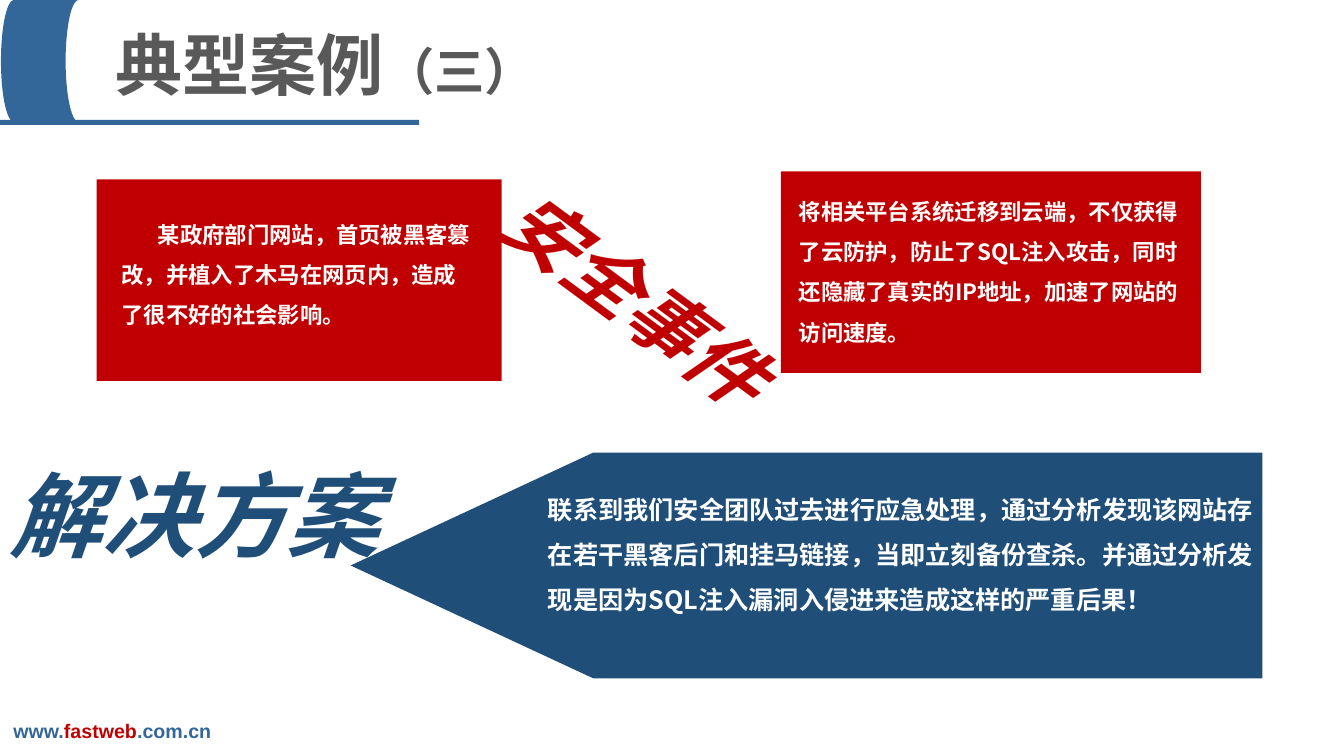
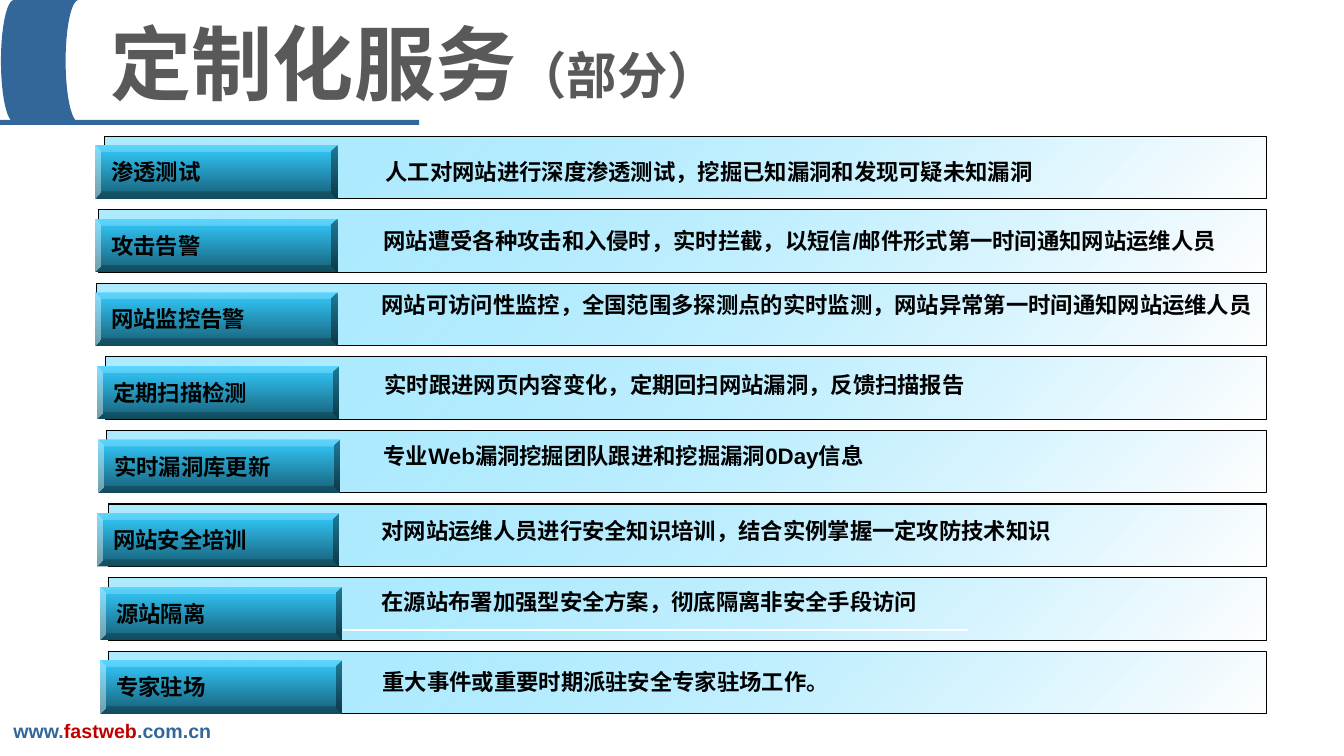
from lxml import etree
from pptx import Presentation
from pptx.dml.color import RGBColor
from pptx.enum.shapes import MSO_CONNECTOR, MSO_SHAPE
from pptx.enum.text import MSO_ANCHOR, MSO_AUTO_SIZE, PP_ALIGN
from pptx.oxml.ns import qn
from pptx.util import Inches, Pt

RECT, BEVEL = MSO_SHAPE.RECTANGLE, MSO_SHAPE.BEVEL
STORE = MSO_SHAPE.FLOWCHART_STORED_DATA
LEFT, MID = PP_ALIGN.LEFT, PP_ALIGN.CENTER
TOP, MIDDLE = MSO_ANCHOR.TOP, MSO_ANCHOR.MIDDLE
FIXED = MSO_AUTO_SIZE.NONE
STRAIGHT = MSO_CONNECTOR.STRAIGHT

BLUE, NAVY, RED, GREY = "336699", "1F4E79", "C00000", "595959"
WHITE, BLACK = "FFFFFF", "000000"
SKY, TEAL = "33CCFF", "175E75"
HAN, LATIN, SLIM = "Noto Sans CJK SC", "Arial", "Arial Narrow"


def rgb(code):
    return RGBColor.from_string(code)


def inch(*nums):
    return [Inches(n) for n in nums]


class Deck:
    """Holds the shared style and the current slide."""

    def __init__(self):
        self.prs = Presentation()
        self.prs.slide_width, self.prs.slide_height = inch(13.34, 7.5)

    def page(self, box, runs, align=LEFT):
        """Start a slide with the blue mark, the web address and a title."""
        self.slide = self.prs.slides.add_slide(self.prs.slide_layouts[5])
        self.shapes = self.slide.shapes
        self.shape(STORE, (0.01, 0, 0.77, 1.21), BLUE)
        self.shape(RECT, (0, 1.19, 4.16, 0.05), BLUE)
        web = [("www.", 14, BLUE), ("fastweb", 14, RED), (".com.cn", 14, BLUE)]
        self.text((0.02, 7.08, 2.19, 0.34), web, LATIN, align=MID)
        title = self.shapes.title
        self.place(title, box)
        self.label(title.text_frame, runs, HAN, align, lead=1.3)

    def place(self, item, box):
        for name, value in zip(("left", "top", "width", "height"), inch(*box)):
            setattr(item, name, value)

    def label(self, frame, runs, face, align=LEFT, anchor=TOP, lead=None,
              indent=0, italic=False):
        """Fill a frame with one paragraph; lead is in ems of the first run."""
        form = {"word_wrap": True, "auto_size": FIXED,
                "vertical_anchor": anchor}
        for name, value in form.items():
            setattr(frame, name, value)
        para = frame.paragraphs[0]
        para.alignment = align
        if lead:
            para.line_spacing = Pt(round(lead * runs[0][1], 1))
        if indent:
            para._p.get_or_add_pPr().set("indent", str(Inches(indent)))
        for words, size, color in runs:
            run = para.add_run()
            run.text = words
            font = run.font
            form = {"size": Pt(size), "name": face, "bold": True,
                    "italic": italic}
            for name, value in form.items():
                setattr(font, name, value)
            font.color.rgb = rgb(color)
            east = etree.SubElement(run._r.get_or_add_rPr(), qn("a:ea"))
            east.set("typeface", HAN)

    def text(self, box, runs, face=HAN, turn=0, **form):
        item = self.shapes.add_textbox(*inch(*box))
        item.rotation = turn
        self.label(item.text_frame, runs, face, **form)

    def shape(self, kind, box, color=None, line=None):
        item = self.shapes.add_shape(kind, *inch(*box))
        return self.paint(item, color, line)

    def paint(self, item, color, line=None):
        item.shadow.inherit = False
        if color:
            item.fill.solid()
            item.fill.fore_color.rgb = rgb(color)
        if line:
            item.line.color.rgb = rgb(line)
            item.line.width = Pt(0.75)
        else:
            item.line.fill.background()
        return item

    def blend(self, item, angle, *stops):
        """Gradient fill from (colour, opacity in percent) stops."""
        item.fill.gradient()
        item.fill.gradient_angle = 360 - angle
        for stop, (color, _) in zip(item.fill.gradient_stops, stops):
            stop.color.rgb = rgb(color)
        marks = item.element.spPr.find(qn("a:gradFill")).iter(qn("a:srgbClr"))
        for mark, (_, clear) in zip(marks, stops):
            if clear < 100:
                alpha = etree.SubElement(mark, qn("a:alpha"))
                alpha.set("val", str(clear * 1000))

    def outline(self, points, color):
        spots = [inch(*point) for point in points]
        build = self.shapes.build_freeform(*spots[0])
        build.add_line_segments(spots[1:], close=True)
        self.paint(build.convert_to_shape(), color)

    def line(self, ends, color):
        item = self.shapes.add_connector(STRAIGHT, *inch(*ends))
        item.line.color.rgb = rgb(color)
        item.line.width = Pt(0.75)
        etree.SubElement(item.element.spPr, qn("a:effectLst"))

    def service(self, top, name, note, bar, key, left, rise):
        """One row: pale bar, bevelled name and description."""
        item = self.shape(RECT, (bar, top, 12.57 - bar, 0.62), line=BLACK)
        self.blend(item, 45, (SKY, 40), (WHITE, 90))
        item = self.shape(BEVEL, (key, top + 0.09, 2.41, 0.53))
        self.blend(item, 90, (SKY, 100), (TEAL, 100))
        self.label(item.text_frame, [(name, 16, BLACK)], LATIN, anchor=MIDDLE)
        self.text((left, top - rise, 9.4, 0.75), [(note, 16, BLACK)], LATIN,
                  anchor=MIDDLE)


# name, description, bar left, name left, description left, description rise
SERVICES = [
    ("渗透测试", "人工对网站进行深度渗透测试，挖掘已知漏洞和发现可疑未知漏洞",
     1.04, 0.94, 3.73, 0.02),
    ("攻击告警", "网站遭受各种攻击和入侵时，实时拦截，以短信/邮件形式第一时间通知网站运维人员",
     0.98, 0.94, 3.71, 0.07),
    ("网站监控告警", "网站可访问性监控，全国范围多探测点的实时监测，网站异常第一时间通知网站运维人员",
     0.96, 0.94, 3.69, 0.16),
    ("定期扫描检测", "实时跟进网页内容变化，定期回扫网站漏洞，反馈扫描报告",
     1.05, 0.96, 3.72, 0.1),
    ("实时漏洞库更新", "专业Web漏洞挖掘团队跟进和挖掘漏洞0Day信息",
     1.06, 0.97, 3.71, 0.13),
    ("网站安全培训", "对网站运维人员进行安全知识培训，结合实例掌握一定攻防技术知识",
     1.08, 0.96, 3.69, 0.11),
    ("源站隔离", "在源站布署加强型安全方案，彻底隔离非安全手段访问",
     1.08, 0.99, 3.69, 0.14),
    ("专家驻场", "重大事件或重要时期派驻安全专家驻场工作。",
     1.08, 0.99, 3.7, 0.07),
]


def case(deck):
    deck.page((0.96, 0.11, 4.54, 0.9),
              [("典型案例", 48, GREY), ("（三）", 36, GREY)], MID)
    # Panels
    deck.shape(RECT, (0.96, 1.78, 4.02, 2), RED)
    deck.shape(RECT, (7.75, 1.7, 4.17, 2), RED)
    deck.outline([(12.53, 4.49), (5.89, 4.49), (3.48, 5.61), (5.89, 6.73),
                  (12.53, 6.73)], NAVY)
    # Panel texts
    deck.text((1.11, 2.01, 3.66, 1.3),
              [("某政府部门网站，首页被黑客篡改，并植入了木马在网页内，造成了很不好的社会影响。",
                16, WHITE)], lead=1.8, indent=0.36)
    deck.text((5.34, 4.7, 7.32, 1.45),
              [("联系到我们安全团队过去进行应急处理，通过分析发现该网站存在若干黑客后门和挂马链接，"
                "当即立刻备份查杀。并通过分析发现是因为SQL注入漏洞入侵进来造成这样的严重后果！",
                18, WHITE)], lead=1.8)
    deck.text((7.83, 1.78, 4.01, 1.7),
              [("将相关平台系统迁移到云端，不仅获得了云防护，防止了SQL注入攻击，"
                "同时还隐藏了真实的IP地址，加速了网站的访问速度。", 16, WHITE)], lead=1.8)
    # Slanted labels
    deck.text((4.73, 2.39, 3.25, 1), [("安全事件", 54, RED)], SLIM, turn=36.4,
              align=MID, lead=1.3, italic=True)
    deck.text((0, 4.4, 3.9, 1.2), [("解决方案", 66, NAVY)], SLIM, lead=1.3,
              italic=True)


def offer(deck):
    deck.page((1, 0, 9, 1.25), [("定制化服务", 58, GREY), ("（部分）", 36, GREY)])
    for row, entry in enumerate(SERVICES):
        deck.service(1.35 + 0.73 * row, *entry)
    deck.line((3.4, 6.25, 9.61, 6.25), WHITE)


def main():
    deck = Deck()
    case(deck)
    offer(deck)
    deck.prs.save("out.pptx")


if __name__ == "__main__":
    main()
